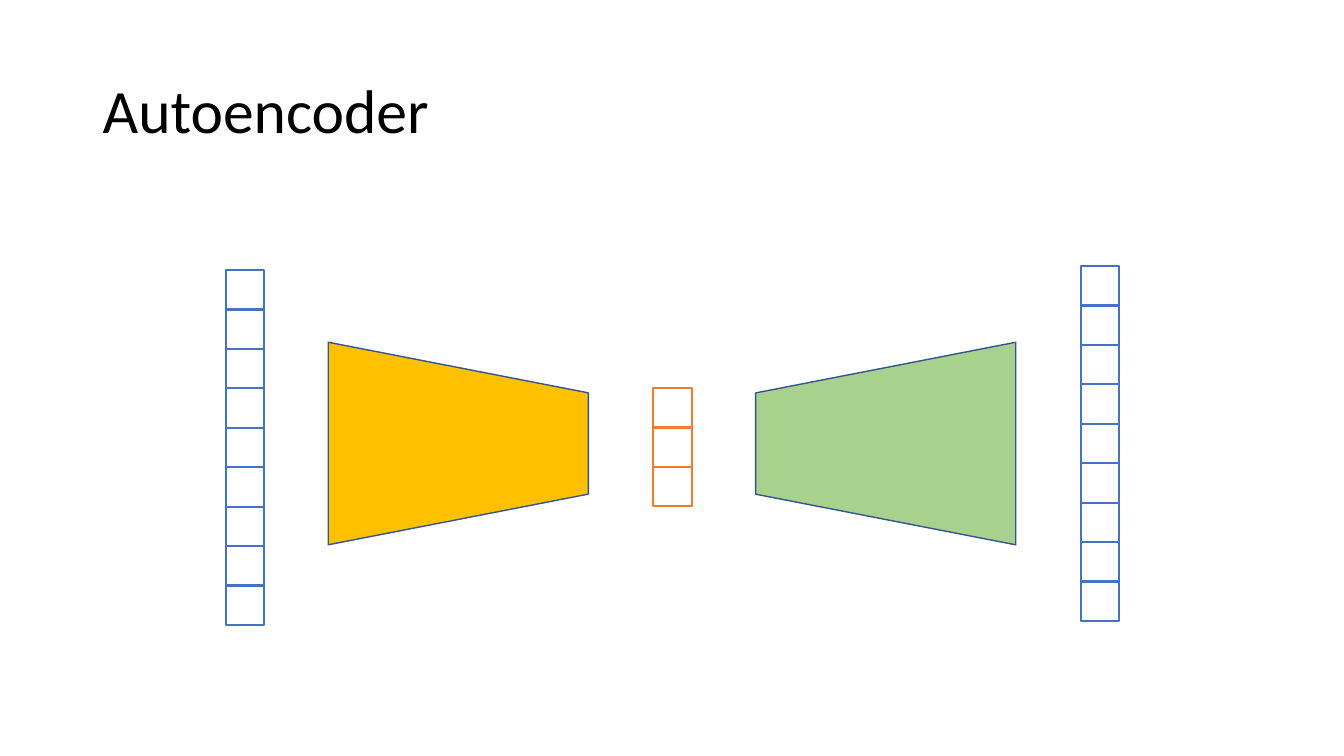
from pptx import Presentation
from pptx.dml.color import RGBColor
from pptx.enum.shapes import MSO_SHAPE
from pptx.enum.text import MSO_ANCHOR
from pptx.util import Inches, Pt

RECTANGLE = MSO_SHAPE.RECTANGLE
TRAPEZOID = MSO_SHAPE.TRAPEZOID
MIDDLE = MSO_ANCHOR.MIDDLE

BLUE = "4472C4"
ORANGE = "ED7D31"
CELL_WIDTH = 0.38
CELL_HEIGHT = 3.52 / 9


def color(hex_string):
    return RGBColor.from_string(hex_string)


def add_outlined_shape(kind, left, top, width, height, fill, line, line_width):
    shape = slide.shapes.add_shape(
        kind, Inches(left), Inches(top), Inches(width), Inches(height))
    shape.shadow.inherit = False
    shape.fill.solid()
    shape.fill.fore_color.rgb = color(fill)
    shape.line.color.rgb = color(line)
    shape.line.width = Pt(line_width)
    return shape


presentation = Presentation()
presentation.slide_width = Inches(13.33)
presentation.slide_height = Inches(7.5)
slide = presentation.slides.add_slide(presentation.slide_layouts[6])

# Title
title = slide.shapes.add_textbox(
    Inches(0.92), Inches(0.4), Inches(11.5), Inches(1.45))
title.text_frame.word_wrap = True
title.text_frame.vertical_anchor = MIDDLE
paragraph = title.text_frame.paragraphs[0]
paragraph.text = "Autoencoder"
paragraph.line_spacing = 0.9
paragraph.font.name = "Calibri"
paragraph.font.size = Pt(44)
paragraph.font.color.rgb = color("000000")

# Encoder narrows to the right, decoder widens to the right
for left, rotation, fill in [(3.54, 90, "FFC000"), (7.78, 270, "A9D18E")]:
    network = add_outlined_shape(
        TRAPEZOID, left, 3.11, 2.01, 2.58, fill, "325491", 1)
    network.rotation = rotation

# Input, latent and output vectors
for left, top, cell_count, line in [
    (2.24, 2.68, 9, BLUE),
    (6.48, 3.85, 3, ORANGE),
    (10.72, 2.64, 9, BLUE),
]:
    for index in range(cell_count):
        add_outlined_shape(RECTANGLE, left, top + index * CELL_HEIGHT,
                           CELL_WIDTH, CELL_HEIGHT, "FFFFFF", line, 1.5)

presentation.save("out.pptx")
